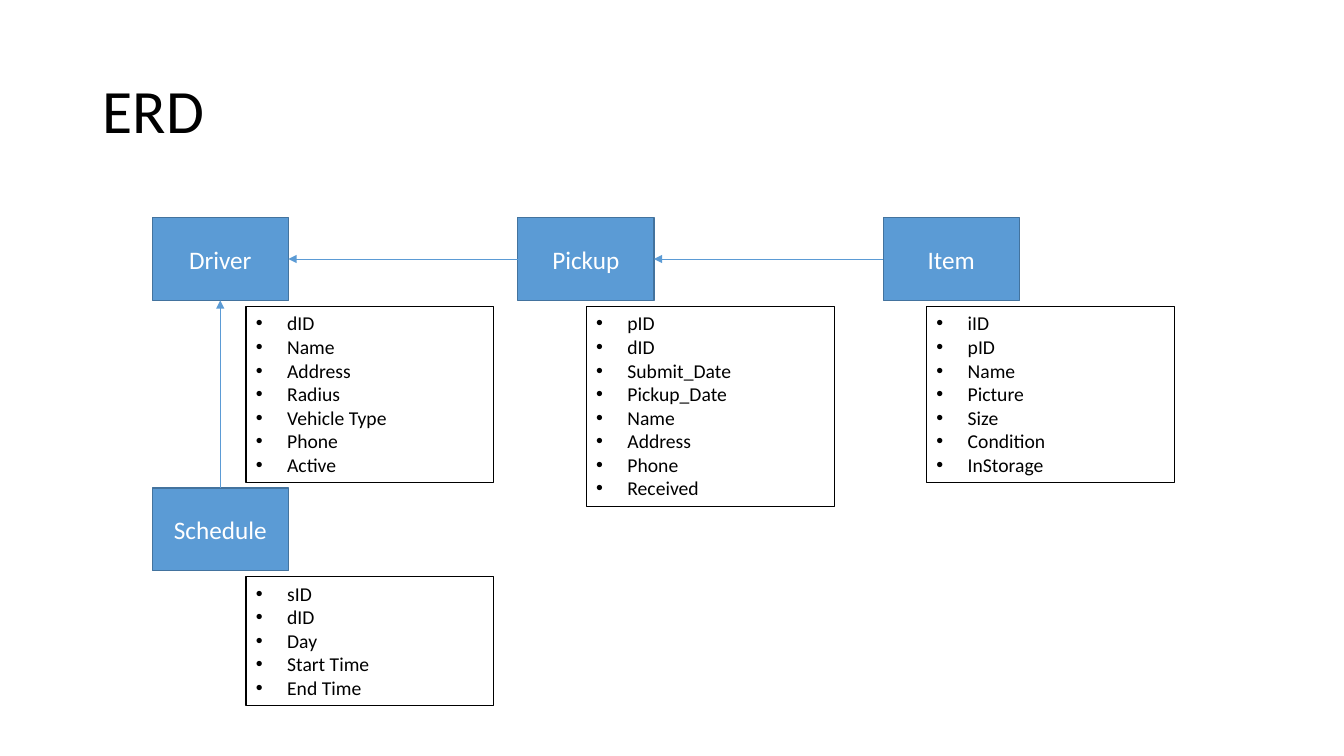
from dataclasses import dataclass

from lxml.etree import SubElement
from pptx import Presentation
from pptx.dml.color import RGBColor
from pptx.enum.shapes import MSO_CONNECTOR, MSO_SHAPE
from pptx.enum.text import MSO_ANCHOR, MSO_AUTO_SIZE, PP_ALIGN
from pptx.oxml.ns import qn
from pptx.util import Inches, Pt


@dataclass(frozen=True)
class Theme:
    font: str = "Calibri"
    text: str = "000000"
    entity_text: str = "FFFFFF"
    entity_fill: str = "5B9BD5"
    entity_line: str = "43739E"
    title_size: float = 44
    entity_size: float = 18
    field_size: float = 14


def write_text(tf, text, *, font, size, color, align=PP_ALIGN.LEFT,
               anchor=MSO_ANCHOR.MIDDLE, spacing=1.0, bullet=False):
    tf.text = text
    tf.word_wrap = True
    tf.auto_size = MSO_AUTO_SIZE.NONE
    tf.vertical_anchor = anchor
    for p in tf.paragraphs:
        p.alignment = align
        p.line_spacing = spacing
        if bullet:
            pPr = p._p.get_or_add_pPr()
            pPr.set("marL", str(Inches(0.31)))
            pPr.set("indent", str(-Inches(0.31)))
            SubElement(pPr, qn("a:buFont"), typeface="Arial")
            SubElement(pPr, qn("a:buChar"), char="•")
        for r in p.runs:
            r.font.name = font
            r.font.size = Pt(size)
            r.font.color.rgb = RGBColor.from_string(color)


class Diagram:
    def __init__(self, slide, theme):
        self.slide = slide
        self.theme = theme

    def title(self, text):
        sp = self.slide.shapes.title
        sp.left, sp.top = Inches(0.92), Inches(0.4)
        sp.width, sp.height = Inches(11.5), Inches(1.45)
        write_text(sp.text_frame, text, font=self.theme.font,
                   size=self.theme.title_size, color=self.theme.text, spacing=0.9)

    def box(self, left, top, width, height, line, weight, fill=None):
        sp = self.slide.shapes.add_shape(
            MSO_SHAPE.RECTANGLE, Inches(left), Inches(top), Inches(width), Inches(height))
        sp.shadow.inherit = False
        if fill:
            sp.fill.solid()
            sp.fill.fore_color.rgb = RGBColor.from_string(fill)
        else:
            sp.fill.background()
        sp.line.color.rgb = RGBColor.from_string(line)
        sp.line.width = Pt(weight)
        return sp

    def entity(self, name, left, top):
        th = self.theme
        sp = self.box(left, top, 1.35, 0.82, th.entity_line, 1, th.entity_fill)
        write_text(sp.text_frame, name, font=th.font, size=th.entity_size,
                   color=th.entity_text, align=PP_ALIGN.CENTER)
        return sp

    def fields(self, names, left, top):
        th = self.theme
        sp = self.box(left, top, 2.46, 0.1 + 0.236 * len(names), th.text, 0.75)
        write_text(sp.text_frame, "\n".join(names), font=th.font, size=th.field_size,
                   color=th.text, anchor=MSO_ANCHOR.TOP, bullet=True)

    def arrow(self, source, source_site, target, target_site):
        cxn = self.slide.shapes.add_connector(MSO_CONNECTOR.STRAIGHT, 0, 0, 0, 0)
        cxn.begin_connect(source, source_site)
        cxn.end_connect(target, target_site)
        cxn.line.color.rgb = RGBColor.from_string(self.theme.entity_fill)
        cxn.line.width = Pt(0.5)
        SubElement(cxn.line._get_or_add_ln(), qn("a:tailEnd"), type="triangle")
        SubElement(cxn._element.spPr, qn("a:effectLst"))


TOP, LEFT, BOTTOM, RIGHT = range(4)

ENTITIES = [
    ("Driver", 0, 0, ["dID", "Name", "Address", "Radius", "Vehicle Type", "Phone", "Active"]),
    ("Pickup", 1, 0, ["pID", "dID", "Submit_Date", "Pickup_Date", "Name", "Address",
                      "Phone", "Received"]),
    ("Item", 2, 0, ["iID", "pID", "Name", "Picture", "Size", "Condition", "InStorage"]),
    ("Schedule", 0, 1, ["sID", "dID", "Day", "Start Time", "End Time"]),
]

RELATIONS = [
    ("Pickup", LEFT, "Driver", RIGHT),
    ("Item", LEFT, "Pickup", RIGHT),
    ("Schedule", TOP, "Driver", BOTTOM),
]

prs = Presentation()
prs.slide_width, prs.slide_height = Inches(13.33), Inches(7.5)
s = prs.slides.add_slide(prs.slide_layouts[5])
diagram = Diagram(s, Theme())
diagram.title("ERD")

shapes = {}
for name, col, row, fields in ENTITIES:
    top = 2.16 + 2.68 * row
    shapes[name] = diagram.entity(name, 1.51 + 3.625 * col, top)
    diagram.fields(fields, 2.44 + 3.375 * col, top + 0.88)

for source, source_site, target, target_site in RELATIONS:
    diagram.arrow(shapes[source], source_site, shapes[target], target_site)

prs.save("out.pptx")
